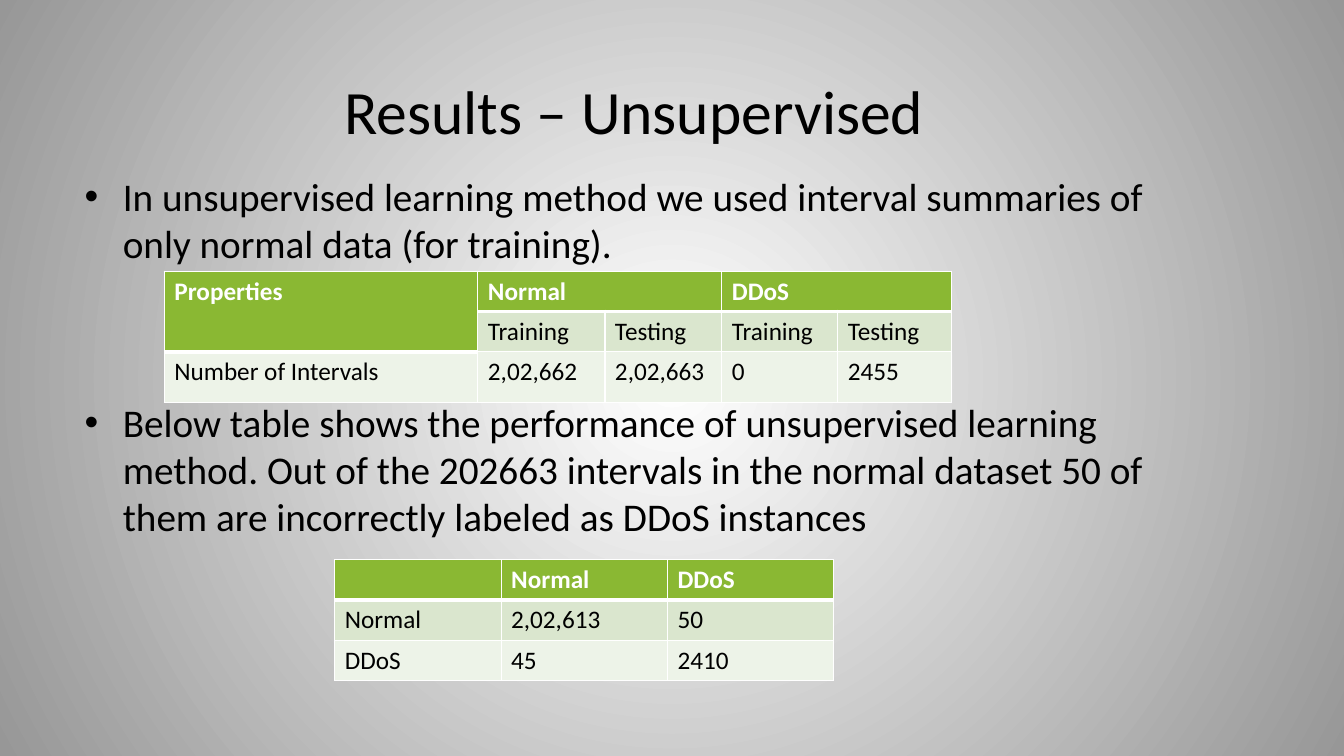
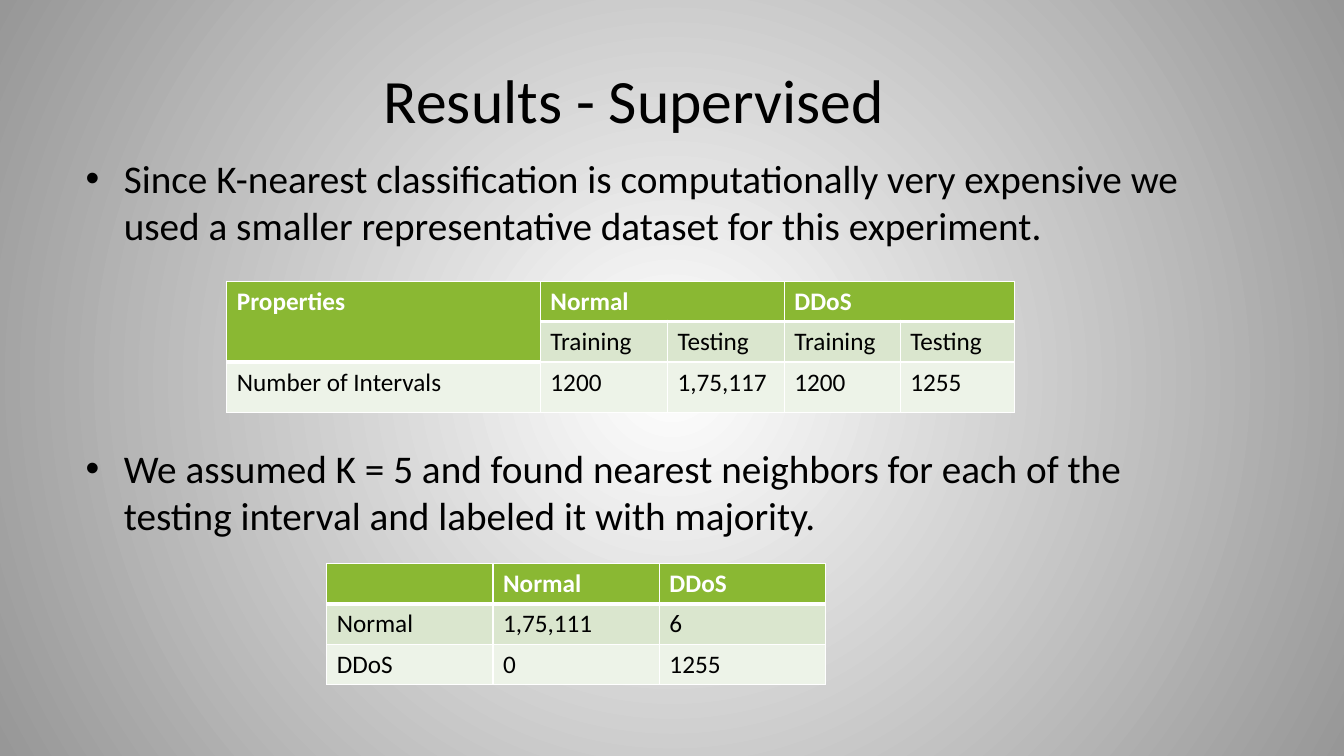
import lxml.etree
import pptx
import pptx.dml.color
import pptx.enum.text
import pptx.oxml
import pptx.oxml.ns
import pptx.util
from pptx.util import Inches

RGBColor = pptx.dml.color.RGBColor
qn = pptx.oxml.ns.qn

WHITE = RGBColor(0xFF, 0xFF, 0xFF)
BLACK = RGBColor(0, 0, 0)
BACKDROP_EDGE = RGBColor(0x97, 0x97, 0x97)
HEADER_GREEN = RGBColor(0x8A, 0xB8, 0x33)
BAND_GREENS = [RGBColor(0xED, 0xF3, 0xE8), RGBColor(0xDA, 0xE6, 0xCE)]
FONT = "Calibri"
TEXT_WIDTH = 11.08
BULLET_INDENT = Inches(0.38)


def style(paragraph, size, color=BLACK, bold=False):
    font = paragraph.font
    font.name, font.size, font.bold = FONT, pptx.util.Pt(size), bold
    font.color.rgb = color


def set_backdrop(master):
    """Radial gradient behind every slide."""
    fill = master.background.fill
    fill.gradient()
    for stop, color in zip(fill.gradient_stops, (WHITE, BACKDROP_EDGE)):
        stop.color.rgb = color
    gradient = next(master.element.iter(qn("a:gradFill")))
    gradient.remove(gradient.find(qn("a:lin")))
    radial = lxml.etree.SubElement(gradient, qn("a:path"), path="circle")
    lxml.etree.SubElement(radial, qn("a:fillToRect"),
                          {side: "50000" for side in "ltrb"})


def add_text_frame(slide, left, top, height):
    box = slide.shapes.add_textbox(*map(Inches, (left, top, TEXT_WIDTH, height)))
    box.text_frame.word_wrap = True
    return box.text_frame


def add_title(slide, left, top, height, text):
    frame = add_text_frame(slide, left, top, height)
    frame.vertical_anchor = pptx.enum.text.MSO_ANCHOR.MIDDLE
    heading = frame.paragraphs[0]
    heading.text = text
    heading.alignment = pptx.enum.text.PP_ALIGN.CENTER
    style(heading, 44)


def add_bullets(slide, left, top, height, points, gap):
    """Two bullet points, with a gap in points that leaves room for a table."""
    frame = add_text_frame(slide, left, top, height)
    for index, text in enumerate(points):
        point = frame.paragraphs[0] if index == 0 else frame.add_paragraph()
        point.text = text
        point.space_before = pptx.util.Pt(gap if index else 0)
        style(point, 28)
        props = point._p.get_or_add_pPr()
        props.set("marL", str(BULLET_INDENT))
        props.set("indent", str(-BULLET_INDENT))
        bullet_font = pptx.oxml.parse_xml(
            f'<a:buFont {pptx.oxml.ns.nsdecls("a")} typeface="Arial"/>')
        bullet = pptx.oxml.parse_xml(
            f'<a:buChar {pptx.oxml.ns.nsdecls("a")} char="•"/>')
        default_font = props.find(qn("a:defRPr"))
        default_font.addprevious(bullet_font)
        default_font.addprevious(bullet)


def set_borders(cell, top, bottom):
    """White borders; top and bottom widths are in points."""
    props = cell._tc.get_or_add_tcPr()
    for side, width in (("L", 1), ("R", 1), ("T", top), ("B", bottom)):
        line = lxml.etree.SubElement(props, qn(f"a:ln{side}"),
                                     w=str(pptx.util.Pt(width)))
        solid = lxml.etree.SubElement(line, qn("a:solidFill"))
        lxml.etree.SubElement(solid, qn("a:srgbClr"), val=str(WHITE))


def add_grid(slide, left, top, widths, heights, rows, merges=()):
    """Table with a green header; merges pair the corner cells of each span."""
    grid = slide.shapes.add_table(
        len(heights), len(widths), Inches(left), Inches(top),
        Inches(sum(widths)), Inches(sum(heights))).table
    for column, width in zip(grid.columns, widths):
        column.width = Inches(width)
    for row, height in zip(grid.rows, heights):
        row.height = Inches(height)
    for first, last in merges:
        grid.cell(*first).merge(grid.cell(*last))

    def is_header(r, c):
        return r == 0 or (r == 1 and grid.cell(r, c).is_spanned)

    for r, texts in enumerate(rows):
        for c, text in enumerate(texts):
            cell = grid.cell(r, c)
            header = is_header(r, c)
            below_header = r > 0 and not header and is_header(r - 1, c)
            set_borders(cell, 3 if below_header else 1, 3 if header else 1)
            cell.fill.solid()
            cell.fill.fore_color.rgb = HEADER_GREEN if header else BAND_GREENS[r % 2]
            if text:
                cell.text = text
            style(cell.text_frame.paragraphs[0], 18,
                  WHITE if header else BLACK, header)


def add_intervals(slide, left, top, counts):
    """Number of intervals used for training and testing."""
    add_grid(slide, left, top, [3.11, 1.26, 1.16, 1.15, 1.13], [0.4, 0.4, 0.5],
             [["Properties", "Normal", "", "DDoS", ""],
              [""] + ["Training", "Testing"] * 2,
              ["Number of Intervals"] + counts],
             [((0, 0), (1, 0)), ((0, 1), (0, 2)), ((0, 3), (0, 4))])


def add_confusion(slide, left, top, normal, ddos):
    """Labels given to the normal and the DDoS intervals."""
    add_grid(slide, left, top, [1.65] * 3, [0.4] * 3,
             [["", "Normal", "DDoS"], ["Normal"] + normal, ["DDoS"] + ddos])


def add_results(title, bullets, intervals, confusion):
    slide = prs.slides.add_slide(prs.slide_layouts[6])
    add_title(slide, *title)
    add_bullets(slide, *bullets)
    add_intervals(slide, *intervals)
    add_confusion(slide, *confusion)


prs = pptx.Presentation()
prs.slide_width, prs.slide_height = Inches(13.33), Inches(7.5)
set_backdrop(prs.slide_master)

# Unsupervised learning
add_results(
    title=(0.75, 0.58, 1.02, "Results – Unsupervised"),
    bullets=(0.74, 1.66, 4.32, [
        "In unsupervised learning method we used interval summaries of only "
        "normal data (for training).",
        "Below table shows the performance of unsupervised learning method. "
        "Out of the 202663 intervals in the normal dataset 50 of them are "
        "incorrectly labeled as DDoS instances"], 94),
    intervals=(1.63, 2.69, ["2,02,662", "2,02,663", "0", "2455"]),
    confusion=(3.32, 5.55, ["2,02,613", "50"], ["45", "2410"]))

# Supervised learning
add_results(
    title=(0.75, 0.49, 0.99, "Results - Supervised"),
    bullets=(0.75, 1.48, 5.07, [
        "Since K-nearest classification is computationally very expensive we "
        "used a smaller representative dataset for this experiment.",
        "We assumed K = 5 and found nearest neighbors for each of the testing "
        "interval and labeled it with majority."], 140),
    intervals=(2.25, 2.79, ["1200", "1,75,117", "1200", "1255"]),
    confusion=(3.24, 5.59, ["1,75,111", "6"], ["0", "1255"]))

prs.save("out.pptx")
